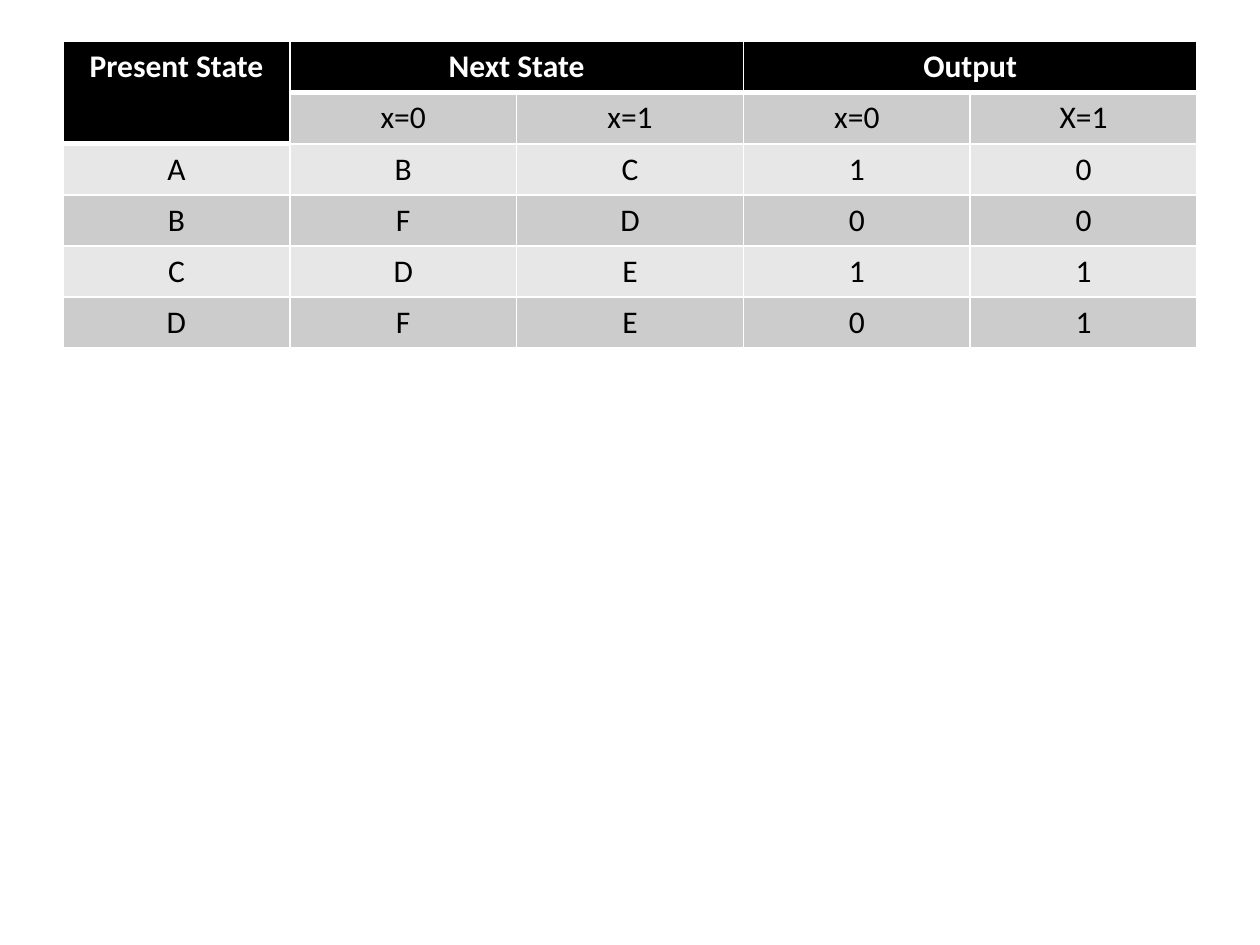
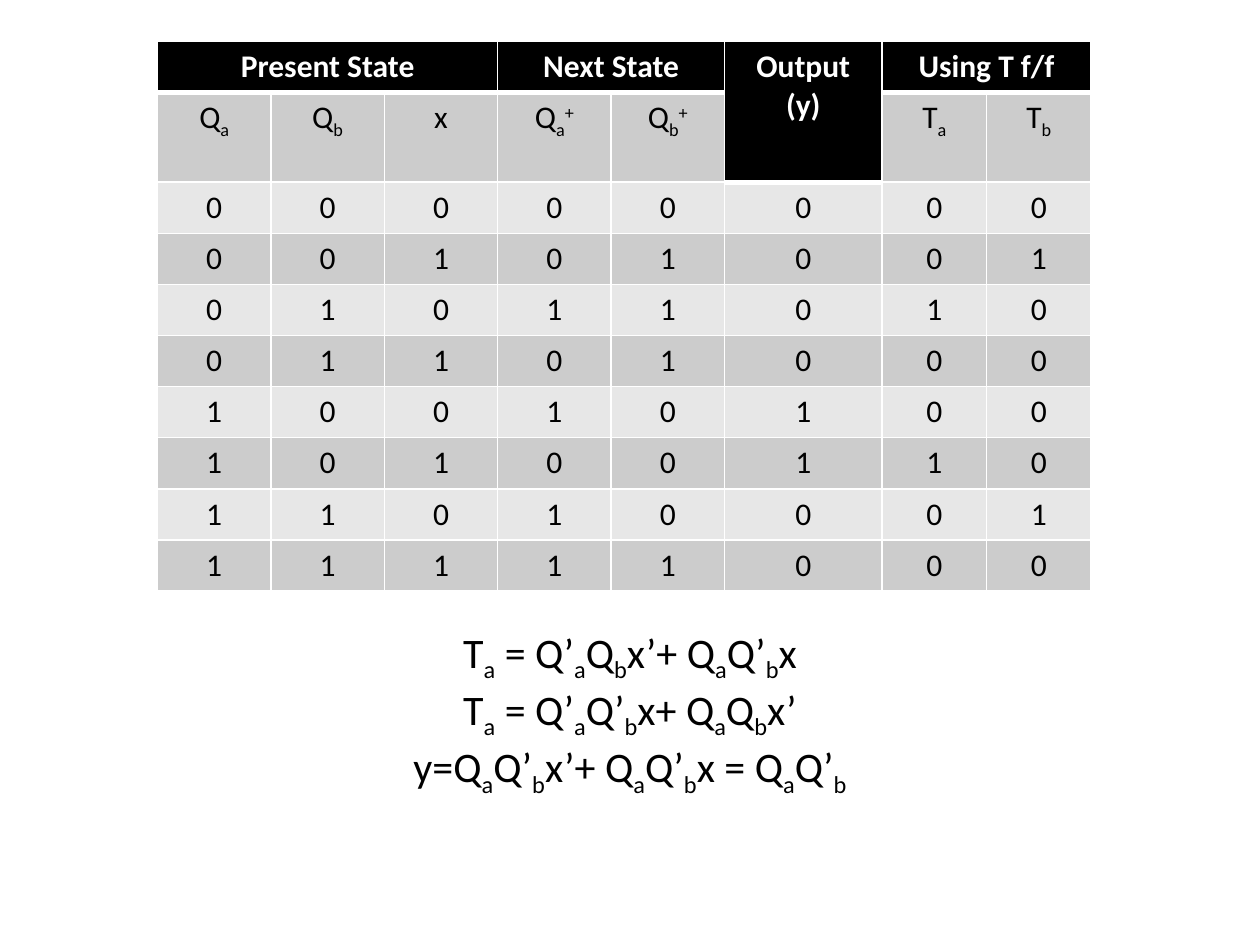
from lxml.etree import SubElement
from pptx import Presentation
from pptx.dml.color import RGBColor
from pptx.enum.text import MSO_ANCHOR, PP_ALIGN
from pptx.oxml.ns import qn
from pptx.util import Inches, Pt

FONT = "Calibri"
BLACK, WHITE = "000000", "FFFFFF"
BANDS = ("E7E7E7", "CCCCCC")
ROW_HEIGHT = 0.4
BASELINES = {"_": "-25000", "^": "30000"}


def color(hex_string):
    return RGBColor.from_string(hex_string)


class Deck:
    """Holds the shared style and the slide being built."""

    def __init__(self):
        self.prs = Presentation()
        self.prs.slide_width, self.prs.slide_height = Inches(10), Inches(7.5)
        self.slide = None

    def new_slide(self):
        self.slide = self.prs.slides.add_slide(self.prs.slide_layouts[6])

    def add_run(self, paragraph, text, size, ink, bold, baseline=None):
        run = paragraph.add_run()
        run.text = text
        font = run.font
        font.name, font.size, font.bold = FONT, Pt(size), bold
        font.color.rgb = color(ink)
        if baseline:
            font._element.set("baseline", baseline)

    def add_text(self, frame, text, size, ink=BLACK, bold=False):
        """One centred paragraph a line; _ lowers and ^ raises the next letter."""
        for number, line in enumerate(text.split("\n")):
            paragraph = frame.paragraphs[0] if number == 0 else frame.add_paragraph()
            paragraph.alignment = PP_ALIGN.CENTER
            plain, position = "", 0
            while position < len(line):
                mark = line[position]
                if mark in BASELINES:
                    if plain:
                        self.add_run(paragraph, plain, size, ink, bold)
                    self.add_run(paragraph, line[position + 1], size, ink, bold, BASELINES[mark])
                    plain, position = "", position + 2
                else:
                    plain, position = plain + mark, position + 1
            if plain:
                self.add_run(paragraph, plain, size, ink, bold)

    def borders(self, cell, top, bottom):
        properties = cell._tc.get_or_add_tcPr()
        for side, width in (("L", 1), ("R", 1), ("T", top), ("B", bottom)):
            line = SubElement(properties, qn(f"a:ln{side}"), w=str(Pt(width)))
            fill = SubElement(line, qn("a:solidFill"))
            SubElement(fill, qn("a:srgbClr"), val=WHITE)

    def state_table(self, left, top, widths, rows, spans, second_row=ROW_HEIGHT):
        """None in rows marks a cell covered by a header span."""
        heights = [ROW_HEIGHT, second_row] + [ROW_HEIGHT] * (len(rows) - 2)
        table = self.slide.shapes.add_table(
            len(rows), len(widths), Inches(left), Inches(top),
            Inches(sum(widths)), Inches(sum(heights))).table
        table.first_row = table.horz_banding = False
        for column, width in zip(table.columns, widths):
            column.width = Inches(width)
        for row, height in zip(table.rows, heights):
            row.height = Inches(height)

        def is_header(r, c):
            return r == 0 or rows[r][c] is None

        for r, texts in enumerate(rows):
            for c, text in enumerate(texts):
                cell, header = table.cell(r, c), is_header(r, c)
                below_header = r > 0 and not header and is_header(r - 1, c)
                self.borders(cell, 3 if below_header else 1, 3 if header else 1)
                cell.fill.solid()
                cell.fill.fore_color.rgb = color(BLACK if header else BANDS[r % 2])
                if text:
                    self.add_text(cell.text_frame, text, 18, WHITE if header else BLACK, header)
        for first, last in spans:
            table.cell(*first).merge(table.cell(*last))

    def equations(self, left, top, width, height, lines):
        frame = self.slide.shapes.add_textbox(
            Inches(left), Inches(top), Inches(width), Inches(height)).text_frame
        frame.word_wrap = True
        frame.vertical_anchor = MSO_ANCHOR.TOP
        self.add_text(frame, "\n".join(lines), 24)


def main():
    deck = Deck()

    # State table
    deck.new_slide()
    deck.state_table(
        0.5, 0.33, [1.8] * 5,
        [["Present State", "Next State", None, "Output", None],
         [None, "x=0", "x=1", "x=0", "X=1"],
         *map(list, ("ABC10", "BFD00", "CDE11", "DFE01"))],
        [((0, 0), (1, 0)), ((0, 1), (0, 2)), ((0, 3), (0, 4))])

    # Transition table for the T flip-flops
    deck.new_slide()
    transitions = ("00000000", "00101001", "01011010", "01101000",
                   "10010100", "10100110", "11010001", "11111000")
    deck.state_table(
        1.25, 0.33, [0.9] * 5 + [1.25] + [0.83] * 2,
        [["Present State", None, None, "Next State", None, "Output\n(y)", "Using T f/f", None],
         ["Q_a", "Q_b", "x", "Q_a^+", "Q_b^+", None, "T_a", "T_b"],
         *map(list, transitions)],
        [((0, 0), (0, 2)), ((0, 3), (0, 4)), ((0, 5), (1, 5)), ((0, 6), (0, 7))],
        second_row=0.7)

    # Input and output equations
    deck.equations(0.5, 4.92, 9, 1.5, [
        "T_a = Q’_aQ_bx’+ Q_aQ’_bx",
        "T_a = Q’_aQ’_bx+ Q_aQ_bx’",
        "y=Q_aQ’_bx’+ Q_aQ’_bx = Q_aQ’_b"])

    deck.prs.save("out.pptx")


if __name__ == "__main__":
    main()
